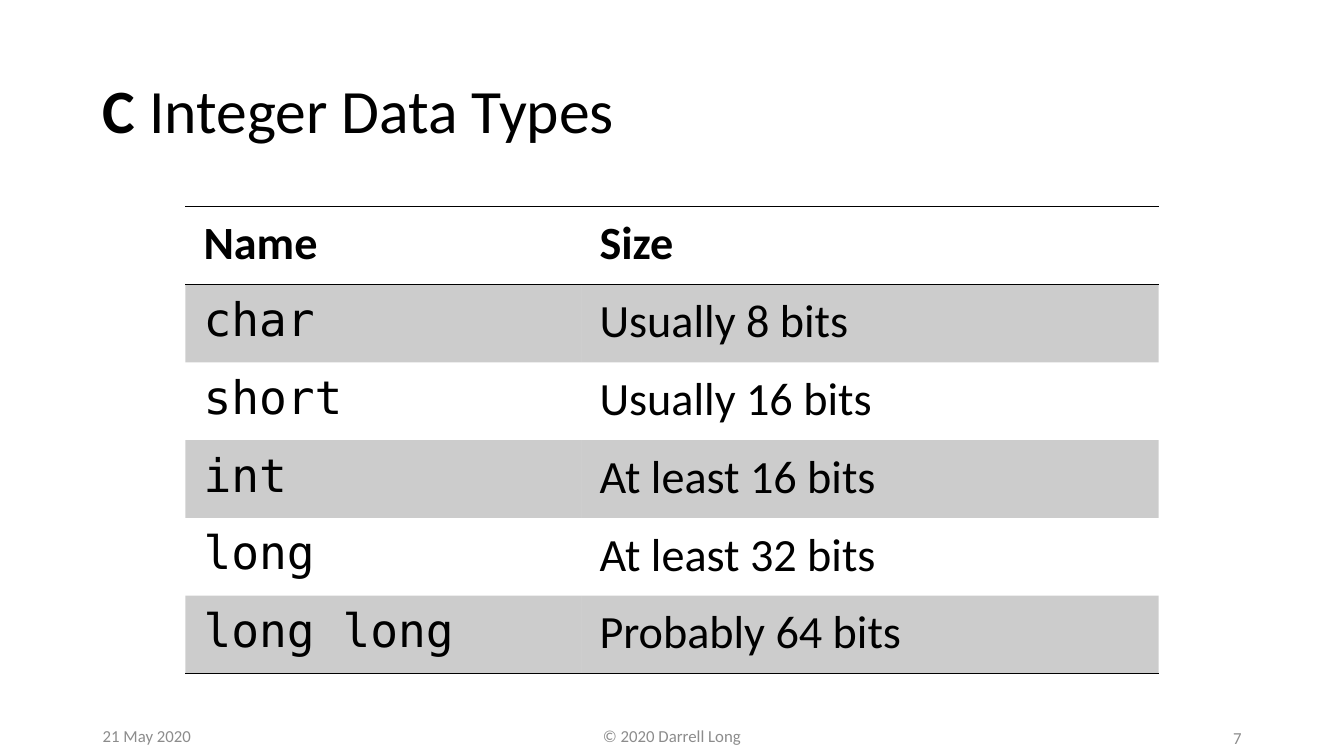
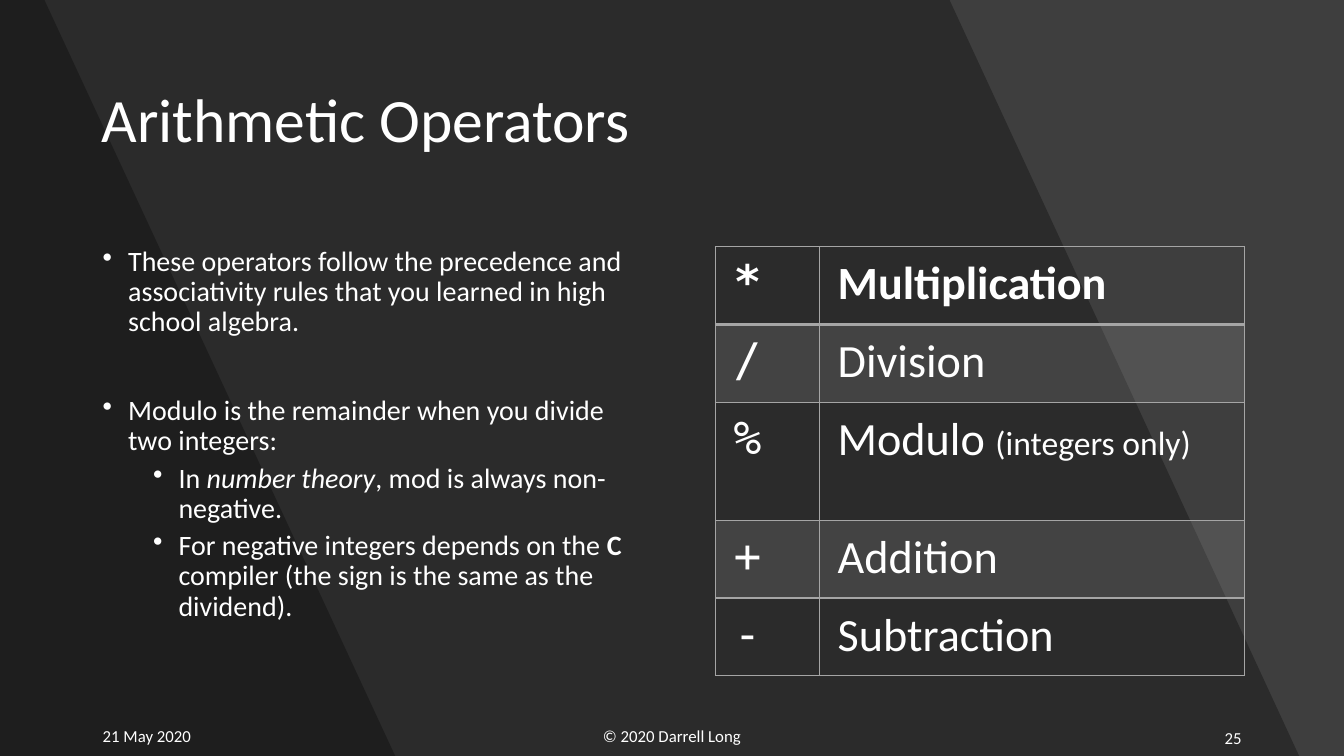
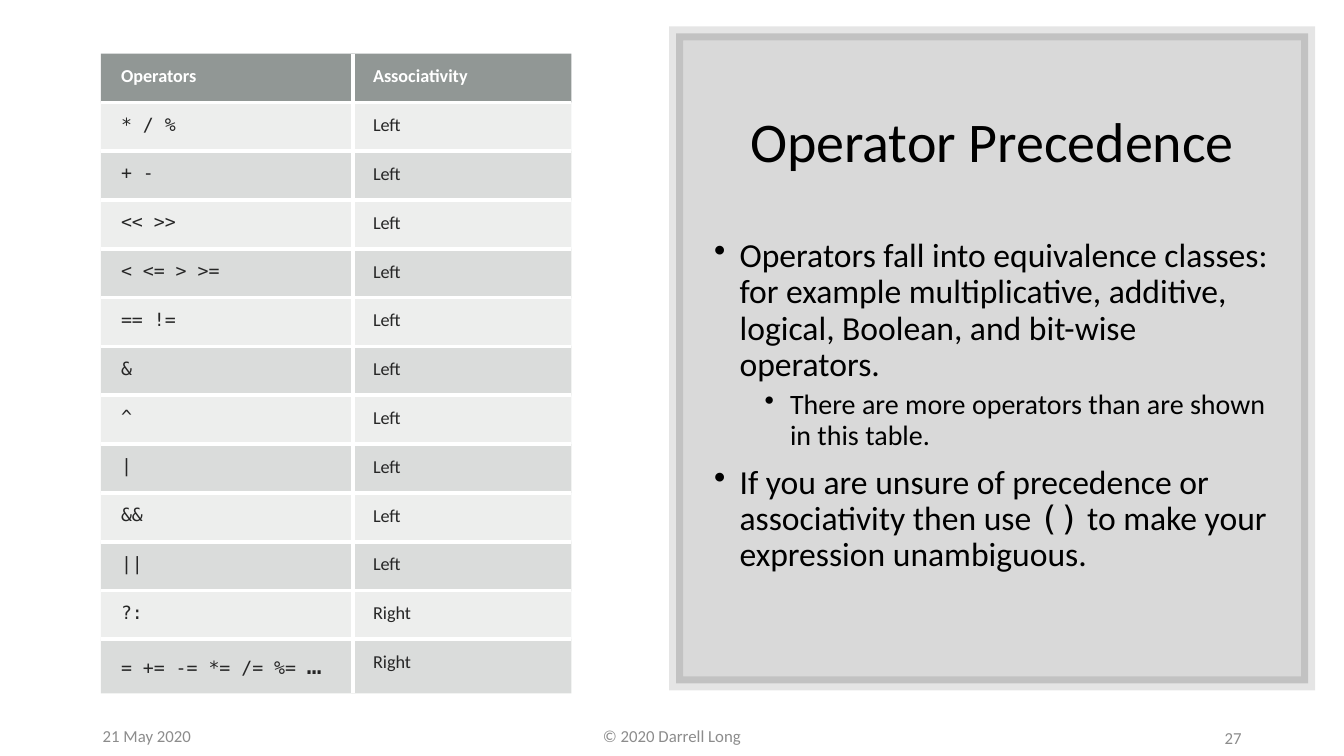
from dataclasses import dataclass
from typing import NamedTuple, Optional

import lxml.etree
import pptx
import pptx.dml.color
import pptx.enum.shapes
import pptx.enum.text
import pptx.oxml.ns
import pptx.slide
import pptx.text.text
import pptx.util

Cm = pptx.util.Cm
Pt = pptx.util.Pt
qn = pptx.oxml.ns.qn
ALIGN = pptx.enum.text.PP_ALIGN
ANCHOR = pptx.enum.text.MSO_ANCHOR


@dataclass(frozen=True)
class Theme:
    sans: str = "Calibri"
    mono: str = "DejaVu Sans Mono"
    black: str = "000000"
    white: str = "FFFFFF"
    dark: str = "454545"
    mute: str = "8C8C8C"
    gray: str = "A5A5A5"
    ink: str = "262626"
    slate: str = "636B68"
    sage: str = "878E8B"
    title: int = 44
    panel: int = 40
    large: int = 33
    text: int = 24
    small: int = 20
    cell: int = 13
    dots: int = 18
    foot: int = 12


THEME = Theme()
WIDE, HIGH = 33.87, 19.05
NO_GRID = "{2D5ABB26-0587-4C30-8999-92F81FD0307C}"


class Box(NamedTuple):
    left: float
    top: float
    width: float
    height: float

    def place(self) -> list[pptx.util.Cm]:
        return [Cm(side) for side in self]


class Tint(NamedTuple):
    color: str
    alpha: int


class Run(NamedTuple):
    text: str
    bold: bool = False
    slant: bool = False
    mono: bool = False
    size: int = 0


@dataclass(frozen=True)
class Para:
    runs: tuple[Run, ...]
    size: int
    color: str
    bold: bool = False
    mono: bool = False
    align: ALIGN = ALIGN.LEFT
    lines: float = 1.0
    gap: int = 0
    level: Optional[int] = None


@dataclass(frozen=True)
class Grid:
    """Rows of a table; rules and posts are line widths, from first edge to last."""
    left: float
    top: float
    cols: tuple[float, ...]
    rows: tuple[float, ...]
    cells: tuple[tuple[tuple[Run, ...], ...], ...]
    size: int
    color: str
    head: str
    line: str
    rules: tuple[int, ...]
    posts: tuple[int, ...]
    pads: tuple[float, float, float, float]
    bands: tuple[Optional[Tint], Optional[Tint]]
    crown: Optional[Tint] = None


def tone(color: str) -> pptx.dml.color.RGBColor:
    return pptx.dml.color.RGBColor.from_string(color)


def fade(host: lxml.etree.ElementBase, alpha: int) -> None:
    """Make the solid fill directly inside host translucent."""
    color = host.find(qn("a:solidFill")).find(qn("a:srgbClr"))
    lxml.etree.SubElement(color, qn("a:alpha"), val=str(alpha * 1000))


def write(part: pptx.text.text._Paragraph, para: Para) -> None:
    part.alignment = para.align
    part.line_spacing = para.lines
    part.space_before = Pt(para.gap)
    if para.level is not None:
        part.level = para.level
        props = part._p.get_or_add_pPr()
        props.set("marL", str(Cm(0.64 + 1.27 * para.level)))
        props.set("indent", str(-Cm(0.64)))
        lxml.etree.SubElement(props, qn("a:buChar"), char="•")
    font = part.font
    font.name = THEME.mono if para.mono else THEME.sans
    font.size = Pt(para.size)
    font.bold = para.bold
    font.color.rgb = tone(para.color)
    for run in para.runs:
        piece = part.add_run()
        piece.text = run.text
        if run.bold:
            piece.font.bold = True
        if run.slant:
            piece.font.italic = True
        if run.mono and not para.mono:
            piece.font.name = THEME.mono
        if run.size:
            piece.font.size = Pt(run.size)


def add_text(slide: pptx.slide.Slide, box: Box, *paras: Para,
             anchor: ANCHOR = ANCHOR.TOP) -> None:
    frame = slide.shapes.add_textbox(*box.place()).text_frame
    frame.word_wrap = True
    frame.vertical_anchor = anchor
    for rank, para in enumerate(paras):
        write(frame.add_paragraph() if rank else frame.paragraphs[0], para)


def add_title(slide: pptx.slide.Slide, box: Box, *runs: Run, color: str = THEME.black,
              size: int = THEME.title, align: ALIGN = ALIGN.LEFT) -> None:
    add_text(slide, box, Para(runs, size, color, align=align, lines=0.9),
             anchor=ANCHOR.MIDDLE)


def add_foot(slide: pptx.slide.Slide, page: int, color: str) -> None:
    for text, left, top, width, align in (
            ("© 2020 Darrell Long", 11.22, 18.03, 11.43, ALIGN.CENTER),
            (str(page), 23.92, 18.08, 7.62, ALIGN.RIGHT),
            ("21 May 2020", 2.34, 18.03, 7.62, ALIGN.LEFT)):
        add_text(slide, Box(left, top, width, 1.02),
                 Para((Run(text),), THEME.foot, color, align=align),
                 anchor=ANCHOR.MIDDLE)


def point(text: str | tuple[Run, ...], size: int, color: str,
          level: int = 0, gap: int = 10) -> Para:
    """A bulleted paragraph."""
    runs = (Run(text),) if isinstance(text, str) else text
    return Para(runs, size, color, lines=0.9, gap=gap, level=level)


def add_edge(props: lxml.etree.ElementBase, side: str, width: int, color: str) -> None:
    edge = lxml.etree.SubElement(props, qn(f"a:ln{side}"), w=str(Pt(width)))
    if width:
        fill = lxml.etree.SubElement(edge, qn("a:solidFill"))
        lxml.etree.SubElement(fill, qn("a:srgbClr"), val=color)
    else:
        lxml.etree.SubElement(edge, qn("a:noFill"))


def add_grid(slide: pptx.slide.Slide, grid: Grid) -> None:
    box = Box(grid.left, grid.top, sum(grid.cols), sum(grid.rows))
    table = slide.shapes.add_table(len(grid.rows), len(grid.cols), *box.place()).table
    table.horz_banding = False
    table._tbl.tblPr.find(qn("a:tableStyleId")).text = NO_GRID
    for col, width in enumerate(grid.cols):
        table.columns[col].width = Cm(width)
    for row, height in enumerate(grid.rows):
        table.rows[row].height = Cm(height)
        tint = grid.bands[(row - 1) % 2] if row else grid.crown
        for col, runs in enumerate(grid.cells[row]):
            cell = table.cell(row, col)
            (cell.margin_left, cell.margin_top,
             cell.margin_right, cell.margin_bottom) = (Cm(pad) for pad in grid.pads)
            props = cell._tc.get_or_add_tcPr()
            for side, width in (("L", grid.posts[col]), ("R", grid.posts[col + 1]),
                                ("T", grid.rules[row]), ("B", grid.rules[row + 1])):
                add_edge(props, side, width, grid.line)
            if tint:
                cell.fill.solid()
                cell.fill.fore_color.rgb = tone(tint.color)
                fade(props, tint.alpha)
            else:
                cell.fill.background()
            write(cell.text_frame.paragraphs[0],
                  Para(runs, grid.size, grid.color if row else grid.head,
                       bold=row == 0, mono=all(run.mono for run in runs)))


def pair(left: str, right: str, mono: bool = True) -> tuple[tuple[Run, ...], ...]:
    return (Run(left, mono=mono),), (Run(right),)


def add_pane(slide: pptx.slide.Slide, spots: tuple[tuple[float, float], ...],
             alpha: int) -> None:
    """A translucent black outline through the given spots."""
    first, *rest = [(Cm(x), Cm(y)) for x, y in spots]
    maker = slide.shapes.build_freeform(*first)
    maker.add_line_segments(rest, close=True)
    pane = maker.convert_to_shape()
    pane.shadow.inherit = False
    pane.fill.solid()
    pane.fill.fore_color.rgb = tone(THEME.black)
    fade(pane.element.spPr, alpha)
    pane.line.fill.background()


def add_panel(slide: pptx.slide.Slide, box: Box) -> None:
    panel = slide.shapes.add_shape(
        pptx.enum.shapes.MSO_SHAPE.RECTANGLE, *box.place())
    panel.shadow.inherit = False
    panel.fill.solid()
    panel.fill.fore_color.rgb = tone(THEME.black)
    fade(panel.element.spPr, 15)
    panel.line.width = Pt(10)
    panel.line.color.rgb = tone(THEME.black)
    edge = panel.element.spPr.find(qn("a:ln"))
    fade(edge, 10)
    lxml.etree.SubElement(edge, qn("a:miter"), lim="800000")


def new_slide(deck: pptx.presentation.Presentation, back: str) -> pptx.slide.Slide:
    slide = deck.slides.add_slide(deck.slide_layouts[6])
    slide.background.fill.solid()
    slide.background.fill.fore_color.rgb = tone(back)
    return slide


WIDE_PADS = (0.46, 0.23, 0.46, 0.23)


def show_types(deck: pptx.presentation.Presentation) -> None:
    slide = new_slide(deck, THEME.white)
    add_title(slide, Box(2.34, 1.02, 29.21, 3.68),
              Run("C", bold=True), Run(" Integer Data Types"))
    add_grid(slide, Grid(
        4.67, 5.21, cols=(9.98, 14.55), rows=(1.96,) * 6,
        cells=(pair("Name", "Size", mono=False),
               pair("char", "Usually 8 bits"),
               pair("short", "Usually 16 bits"),
               pair("int", "At least 16 bits"),
               pair("long", "At least 32 bits"),
               pair("long long", "Probably 64 bits")),
        size=THEME.large, color=THEME.black, head=THEME.black, line=THEME.black,
        rules=(1, 1, 0, 0, 0, 0, 1), posts=(0, 0, 0), pads=WIDE_PADS,
        bands=(Tint(THEME.black, 20), None)))
    add_foot(slide, 7, THEME.mute)


def show_maths(deck: pptx.presentation.Presentation) -> None:
    slide = new_slide(deck, THEME.dark)
    for top, base, alpha in ((WIDE, WIDE, 9), (23.93, 32.74, 30), (1.12, 9.96, 30)):
        add_pane(slide, ((0, 0), (top, 0), (base, HIGH), (0, HIGH)), alpha)
    add_title(slide, Box(2.31, 1.24, 29.24, 3.68), Run("Arithmetic Operators"),
              color=THEME.white)
    size, color = THEME.small, THEME.white
    add_text(
        slide, Box(2.34, 6.1, 13.72, 11.07),
        point("These operators follow the precedence and associativity rules "
              "that you learned in high school algebra.", size, color, gap=0),
        point("Modulo is the remainder when you divide two integers:",
              size, color, gap=42),
        point((Run("In "), Run("number theory", slant=True),
               Run(", mod is always non-negative.")), size, color, level=1, gap=5),
        point((Run("For negative integers depends on the "), Run("C", bold=True),
               Run(" compiler (the sign is the same as the dividend).")),
              size, color, level=1, gap=5))
    add_grid(slide, Grid(
        18.03, 6.22, cols=(2.62, 10.72), rows=(1.96, 1.96, 2.97, 1.96, 1.96),
        cells=(pair("*", "Multiplication"),
               pair("/", "Division"),
               ((Run("%", mono=True),),
                (Run("Modulo "), Run("(integers only)", size=THEME.text))),
               pair("+", "Addition"),
               pair("-", "Subtraction")),
        size=THEME.large, color=color, head=color, line=THEME.gray,
        rules=(1, 2, 1, 1, 1, 1), posts=(1, 1, 1), pads=WIDE_PADS,
        bands=(Tint(THEME.gray, 20), None)))
    add_foot(slide, 25, color)


def show_ranks(deck: pptx.presentation.Presentation) -> None:
    slide = new_slide(deck, THEME.white)
    add_panel(slide, Box(17.04, 0.84, 15.93, 16.38))
    add_title(slide, Box(17.75, 1.78, 14.5, 3.73), Run("Operator Precedence"),
              size=THEME.panel, align=ALIGN.CENTER)
    add_text(
        slide, Box(17.75, 5.89, 14.55, 10.49),
        point("Operators fall into equivalence classes: for example multiplicative, "
              "additive, logical, Boolean, and bit-wise operators.",
              THEME.text, THEME.black, gap=0),
        point("There are more operators than are shown in this table.",
              THEME.small, THEME.black, level=1, gap=5),
        point((Run("If you are unsure of precedence or associativity then use "),
               Run("()", mono=True), Run(" to make your expression unambiguous.")),
              THEME.text, THEME.black))
    lefts = ("* / %", "+ -", "<< >>", "< <= > >=", "== !=", "&", "^", "|", "&&", "||")
    add_grid(slide, Grid(
        2.54, 1.35, cols=(6.35, 5.51), rows=(1.23,) * 12 + (1.35,),
        cells=(pair("Operators", "Associativity", mono=False),
               *(pair(left, "Left") for left in lefts),
               pair("?:", "Right"),
               ((Run("= += -= *= /= %= ", mono=True),
                 Run("…", mono=True, size=THEME.dots)), (Run("Right"),))),
        size=THEME.cell, color=THEME.ink, head=THEME.white, line=THEME.white,
        rules=(0, *(3,) * 12, 0), posts=(0, 3, 0), pads=(0.51, 0.3, 0.3, 0.3),
        bands=(Tint(THEME.sage, 15), Tint(THEME.sage, 30)),
        crown=Tint(THEME.slate, 70)))
    add_foot(slide, 27, THEME.mute)


def main() -> None:
    deck = pptx.Presentation()
    deck.slide_width, deck.slide_height = Cm(WIDE), Cm(HIGH)
    show_types(deck)
    show_maths(deck)
    show_ranks(deck)
    deck.save("out.pptx")


if __name__ == "__main__":
    main()
